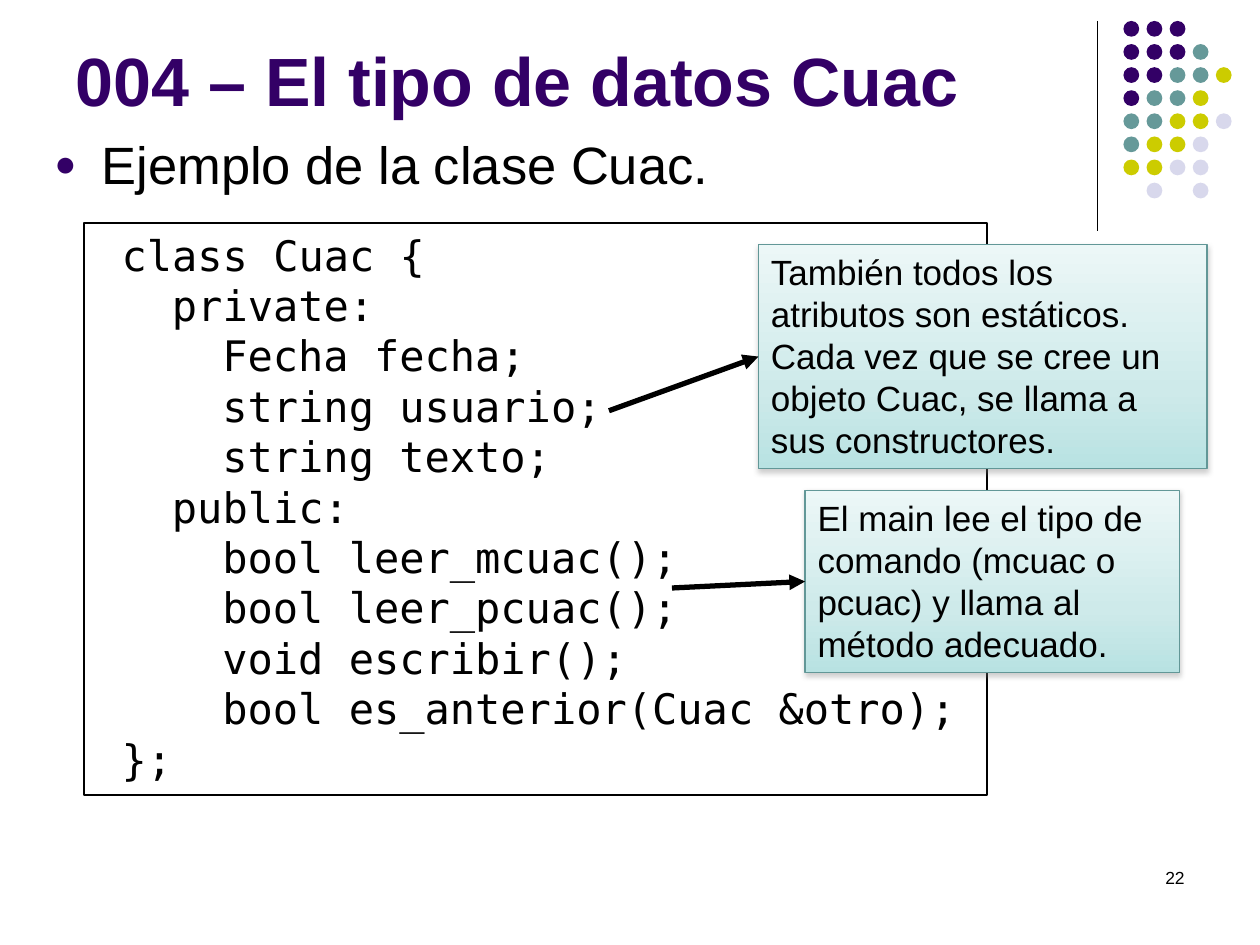
from copy import deepcopy
from pptx import Presentation
from pptx.dml.color import RGBColor
from pptx.enum.shapes import MSO_CONNECTOR, MSO_SHAPE
from pptx.enum.text import MSO_ANCHOR, MSO_AUTO_SIZE, PP_ALIGN
from pptx.oxml import parse_xml
from pptx.oxml.ns import nsdecls, qn
from pptx.oxml.xmlchemy import OxmlElement
from pptx.util import Inches, Pt

OVAL, RECT = MSO_SHAPE.OVAL, MSO_SHAPE.RECTANGLE
STRAIGHT = MSO_CONNECTOR.STRAIGHT
TOP, BOTTOM = MSO_ANCHOR.TOP, MSO_ANCHOR.BOTTOM
LEFT, RIGHT = PP_ALIGN.LEFT, PP_ALIGN.RIGHT
GROW = MSO_AUTO_SIZE.SHAPE_TO_FIT_TEXT
PURPLE = RGBColor(0x33, 0x00, 0x66)
TEAL = RGBColor(0x66, 0x99, 0x99)
LIME = RGBColor(0xCC, 0xCC, 0x00)
LILAC = RGBColor(0xD8, 0xD8, 0xEC)
BLACK = RGBColor(0x00, 0x00, 0x00)
EDGE = RGBColor(0x62, 0x97, 0x97)
GRADIENT = [(0, RGBColor(0xEC, 0xF7, 0xF7)),
            (0.65, RGBColor(0xCE, 0xEA, 0xEA)),
            (1, RGBColor(0xB8, 0xE2, 0xE2))]

prs = Presentation()
prs.slide_width, prs.slide_height = Inches(10), Inches(7.5)
COL, ROW = prs.slide_width / 120, prs.slide_height / 90
slide = prs.slides.add_slide(prs.slide_layouts[6])
shapes = slide.shapes


def grid(*cells):
    return [round(n * (ROW if i % 2 else COL)) for i, n in enumerate(cells)]


def write(sp, lines, size, font="Arial", color=BLACK, bold=False, align=LEFT,
          anchor=TOP, margin=0, step=0, pitch=None):
    tf = sp.text_frame
    tf.word_wrap = True
    tf.vertical_anchor = anchor
    for i, (depth, text) in enumerate(lines):
        p = tf.paragraphs[0] if i == 0 else tf.add_paragraph()
        p.alignment = align
        p.line_spacing = pitch
        p._p.get_or_add_pPr().set("marL", str(round((margin + depth * step) * COL)))
        r = p.add_run()
        r.text = text
        r.font.size, r.font.name, r.font.bold = Pt(size), font, bold
        r.font.color.rgb = color
    return tf


rule = shapes.add_connector(STRAIGHT, *grid(104.5, 2, 104.5, 22))
rule.line.color.rgb = BLACK
rule.line.width = Pt(0.75)
rule._element.spPr.append(OxmlElement("a:effectLst"))

DOTS = ["PPP", "PPPT", "PPTTL", "PTTL", "TTLLV", "TLLV", "LLVV", " V V"]
DOT_COLORS = {"P": PURPLE, "T": TEAL, "L": LIME, "V": LILAC}
for row, dots in enumerate(DOTS):
    for col, dot in enumerate(dots):
        if dot in DOT_COLORS:
            sp = shapes.add_shape(OVAL, *grid(107 + 2.2 * col, 2 + 2.2 * row, 1.5, 1.5))
            sp.shadow.inherit = False
            sp.fill.solid()
            sp.fill.fore_color.rgb = DOT_COLORS[dot]
            sp.line.fill.background()

sp = shapes.add_textbox(*grid(6, 1.5, 99, 10.5))
write(sp, [(0, "004 – El tipo de datos Cuac")], 39, color=PURPLE, bold=True, anchor=BOTTOM)

sp = shapes.add_textbox(*grid(4, 12, 115, 9))
tf = write(sp, [(0, "Ejemplo de la clase Cuac.")], 30, margin=4.5)
p = tf.paragraphs[0]
p.space_before = Pt(6)
pPr = p._p.get_or_add_pPr()
pPr.set("indent", str(round(-4.5 * COL)))
for xml in (f'<a:buClr {nsdecls("a")}><a:srgbClr val="{PURPLE}"/></a:buClr>',
            f'<a:buSzPct {nsdecls("a")} val="70000"/>',
            f'<a:buFont {nsdecls("a")} typeface="Arial"/>',
            f'<a:buChar {nsdecls("a")} char="●"/>'):
    pPr.append(parse_xml(xml))

sp = shapes.add_textbox(*grid(86, 82, 28, 6))
write(sp, [(0, "22")], 10, align=RIGHT)

CODE = [(0, "class Cuac {"), (1, "private:"), (2, "Fecha fecha;"),
        (2, "string usuario;"), (2, "string texto;"), (1, "public:"),
        (2, "bool leer_mcuac();"), (2, "bool leer_pcuac();"),
        (2, "void escribir();"), (2, "bool es_anterior(Cuac &otro);"), (0, "};")]
sp = shapes.add_shape(RECT, *grid(8, 21.24, 86, 54.48))
sp.shadow.inherit = False
sp.fill.background()
sp.line.color.rgb = BLACK
sp.line.width = Pt(0.75)
write(sp, CODE, 24, font="DejaVu Sans Mono", margin=2.4, step=4.8, pitch=Pt(28.8))

CALLOUTS = [
    ((72.24, 23.28, 42.72, 21.36), (58, 39.12),
     ["También todos los atributos son estáticos.",
      "Cada vez que se cree un objeto Cuac, se llama a sus constructores."]),
    ((76.68, 46.68, 35.64, 17.4), (64, 56),
     ["El main lee el tipo de comando (mcuac o pcuac) y llama al método adecuado."])]
for box, start, lines in CALLOUTS:
    sp = shapes.add_shape(RECT, *grid(*box))
    sp.shadow.inherit = False
    sp._element.spPr.find(qn("a:effectLst")).append(parse_xml(
        f'<a:outerShdw {nsdecls("a")} blurRad="{Pt(3.1)}" dist="{Pt(1.6)}" dir="5400000" '
        'rotWithShape="0"><a:srgbClr val="808080"><a:alpha val="38000"/></a:srgbClr>'
        '</a:outerShdw>'))
    sp.fill.gradient()
    sp.fill.gradient_angle = 270
    stops = sp._element.spPr.find(".//" + qn("a:gsLst"))
    stops.append(deepcopy(stops[-1]))
    for stop, (position, color) in zip(sp.fill.gradient_stops, GRADIENT):
        stop.position = position
        stop.color.rgb = color
    sp.line.color.rgb = EDGE
    sp.line.width = Pt(0.75)
    write(sp, [(0, line) for line in lines], 20).auto_size = GROW

    left, top, width, height = box
    arrow = shapes.add_connector(STRAIGHT, *grid(*start, left, top + height / 2))
    arrow.line.color.rgb = BLACK
    arrow.line.width = Pt(3)
    arrow.line._get_or_add_ln().append(
        parse_xml(f'<a:tailEnd {nsdecls("a")} type="triangle"/>'))
    arrow._element.spPr.append(OxmlElement("a:effectLst"))

prs.save("out.pptx")
